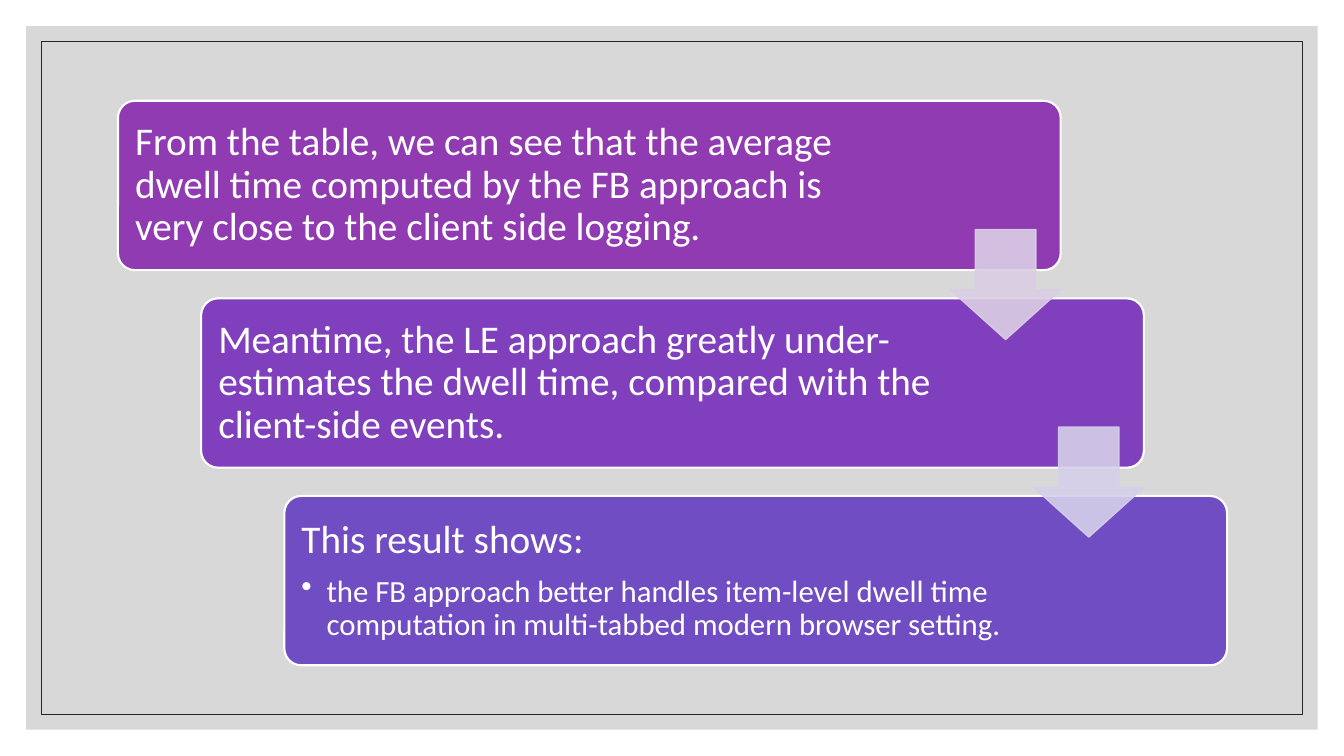
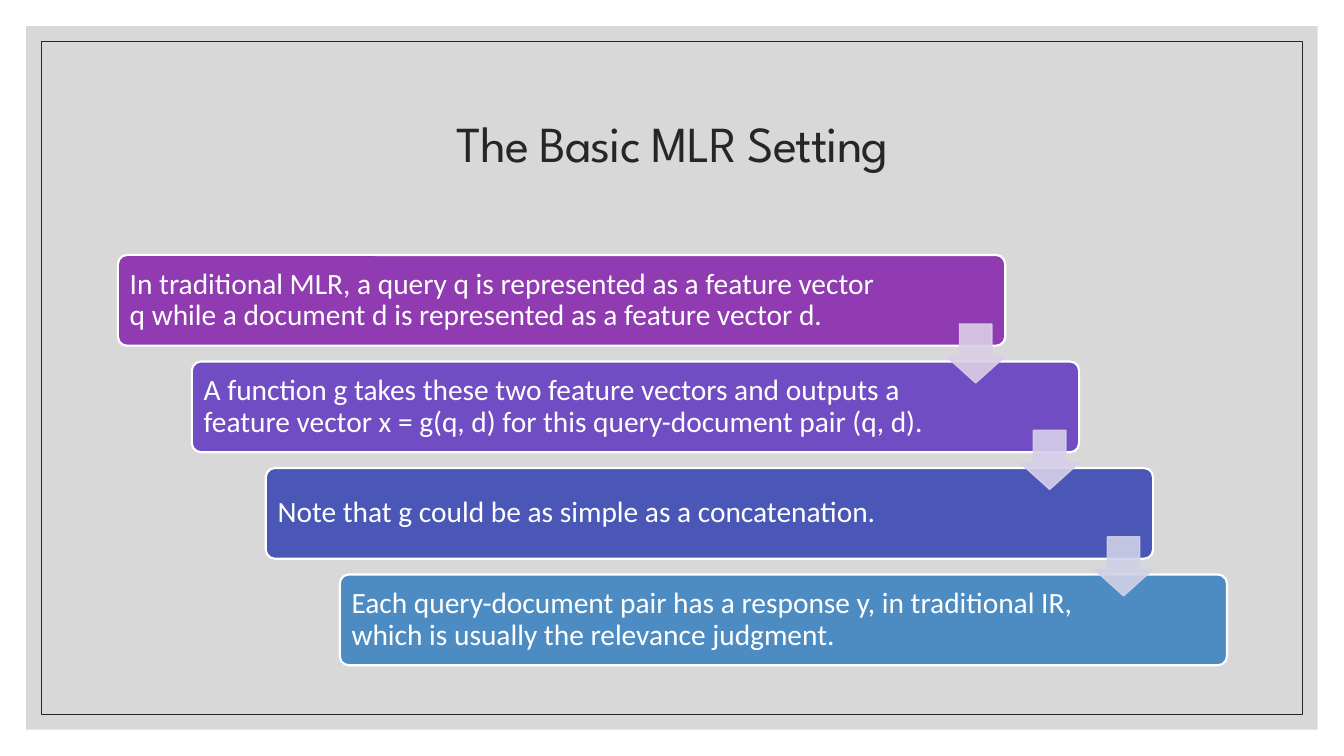
from lxml import etree
from pptx import Presentation
from pptx.dml.color import RGBColor
from pptx.enum.shapes import MSO_SHAPE
from pptx.enum.text import MSO_ANCHOR, PP_ALIGN
from pptx.oxml.ns import qn
from pptx.util import Inches, Pt

RECT = MSO_SHAPE.RECTANGLE
ROUND = MSO_SHAPE.ROUNDED_RECTANGLE
ARROW = MSO_SHAPE.DOWN_ARROW
MIDDLE = MSO_ANCHOR.MIDDLE
LEFT, CENTER = PP_ALIGN.LEFT, PP_ALIGN.CENTER

WHITE = RGBColor(0xFF, 0xFF, 0xFF)
GREY = RGBColor(0xBF, 0xBF, 0xBF)
INK = RGBColor(0x26, 0x26, 0x26)
PLUM = RGBColor(0x90, 0x3B, 0xB1)
PURPLE = RGBColor(0x80, 0x40, 0xBE)
VIOLET = RGBColor(0x70, 0x4D, 0xC3)
INDIGO = RGBColor(0x4A, 0x57, 0xB7)
BLUE = RGBColor(0x4D, 0x8C, 0xC3)
TINTS = [
    RGBColor(0xDB, 0xCE, 0xE4),
    RGBColor(0xD5, 0xD0, 0xE9),
    RGBColor(0xD0, 0xD1, 0xE6),
]

BODY = "Calibri"
HEAD = "League Spartan"
WIDE, HIGH = 13.33, 7.5
SIDE, SPAN, BASE = 1.17, 11, 6.6


def add_box(slide, kind, box, fill=None, line=None, width=1, alpha=None, adj=()):
    shape = slide.shapes.add_shape(kind, *map(Inches, box))
    shape.shadow.inherit = False
    for i, value in enumerate(adj):
        shape.adjustments[i] = value
    if fill is None:
        shape.fill.background()
    else:
        shape.fill.solid()
        shape.fill.fore_color.rgb = fill
    if line is None:
        shape.line.fill.background()
    else:
        shape.line.color.rgb = line
        shape.line.width = Pt(width)
    if alpha:
        for color in shape.element.spPr.iter(qn("a:srgbClr")):
            etree.SubElement(color, qn("a:alpha"), val=str(alpha * 1000))
    return shape


def add_text(slide, box, inset):
    frame = slide.shapes.add_textbox(*map(Inches, box)).text_frame
    frame.word_wrap = True
    frame.vertical_anchor = MIDDLE
    frame.margin_left = frame.margin_right = Inches(inset)
    frame.margin_top = frame.margin_bottom = Inches(inset)
    return frame


def add_run(para, text, size, font=BODY, color=WHITE, align=LEFT):
    para.alignment = align
    para.line_spacing = 0.9
    run = para.add_run()
    run.text = text
    run.font.size = Pt(size)
    run.font.name = font
    run.font.color.rgb = color
    return run


def add_bullet(frame, text, size):
    para = frame.add_paragraph()
    para.level = 1
    para.space_before = Pt(10)
    add_run(para, text, size)
    props = para._p.get_or_add_pPr()
    props.set("marL", str(Inches(0.25)))
    props.set("indent", str(Inches(-0.25)))
    etree.SubElement(props, qn("a:buChar"), char="•")


def add_frame(slide):
    for gap, style in (
        (0.26, dict(fill=GREY, alpha=60)),
        (0.41, dict(line=INK, width=0.5)),
    ):
        add_box(slide, RECT, (gap, gap, WIDE - 2 * gap, HIGH - 2 * gap), **style)


def add_title(slide, text, box):
    frame = add_text(slide, box, 0.1)
    run = add_run(frame.paragraphs[0], text, 36, HEAD, INK, CENTER)
    run.font._element.set("spc", "-70")


def add_stairs(slide, box, steps, wide, high, size, inset, first, rest):
    left, top, width, height = box
    count = len(steps)
    dx = (width - wide) / (count - 1)
    dy = (height - high) / (count - 1)
    pad = 0.03 * high
    for i, (color, text, *points) in enumerate(steps):
        x, y = left + i * dx, top + i * dy
        add_box(slide, ROUND, (x, y, wide, high), color, WHITE, 1.5, adj=[0.1])
        room = rest if i else first
        frame = add_text(slide, (x + pad, y + pad, room, high - 2 * pad), inset)
        add_run(frame.paragraphs[0], text, size)
        for point in points:
            add_bullet(frame, point, 22)
    side = 0.65 * high
    for i, tint in enumerate(TINTS[:count - 1]):
        x = left + i * dx + wide - side
        y = top + i * dy + 0.76 * high
        add_box(slide, ARROW, (x, y, side, side), tint, tint, 1, 90, [0.55, 0.45])


def add_slide(deck):
    slide = deck.slides.add_slide(deck.slide_layouts[6])
    add_frame(slide)
    return slide


def result_slide(deck):
    steps = [
        (PLUM, "From the table, we can see that the average dwell time computed "
               "by the FB approach is very close to the client side logging."),
        (PURPLE, "Meantime, the LE approach greatly under-estimates the dwell "
                 "time, compared with the client-side events."),
        (VIOLET, "This result shows:",
         "the FB approach better handles item-level dwell time computation "
         "in multi-tabbed modern browser setting."),
    ]
    top = 1
    add_stairs(add_slide(deck), (SIDE, top, SPAN, BASE - top), steps,
               wide=9.35, high=1.68, size=28, inset=0.12, first=7.54, rest=7.33)


def setting_slide(deck):
    steps = [
        (PLUM, "In traditional MLR, a query q is represented as a feature vector "
               "q while a document d is represented as a feature vector d."),
        (VIOLET, "A function g takes these two feature vectors and outputs a "
                 "feature vector x = g(q, d) for this query-document pair (q, d)."),
        (INDIGO, "Note that g could be as simple as a concatenation."),
        (BLUE, "Each query-document pair has a response y, in traditional IR, "
               "which is usually the relevance judgment."),
    ]
    slide = add_slide(deck)
    add_title(slide, "The Basic MLR Setting", (SIDE, 0.7, SPAN, 1.5))
    top = 2.53
    add_stairs(slide, (SIDE, top, SPAN, BASE - top), steps,
               wide=8.8, high=0.9, size=21, inset=0.09, first=7.76, rest=7.43)


def main():
    deck = Presentation()
    deck.slide_width, deck.slide_height = Inches(WIDE), Inches(HIGH)
    result_slide(deck)
    setting_slide(deck)
    deck.save("out.pptx")


if __name__ == "__main__":
    main()
